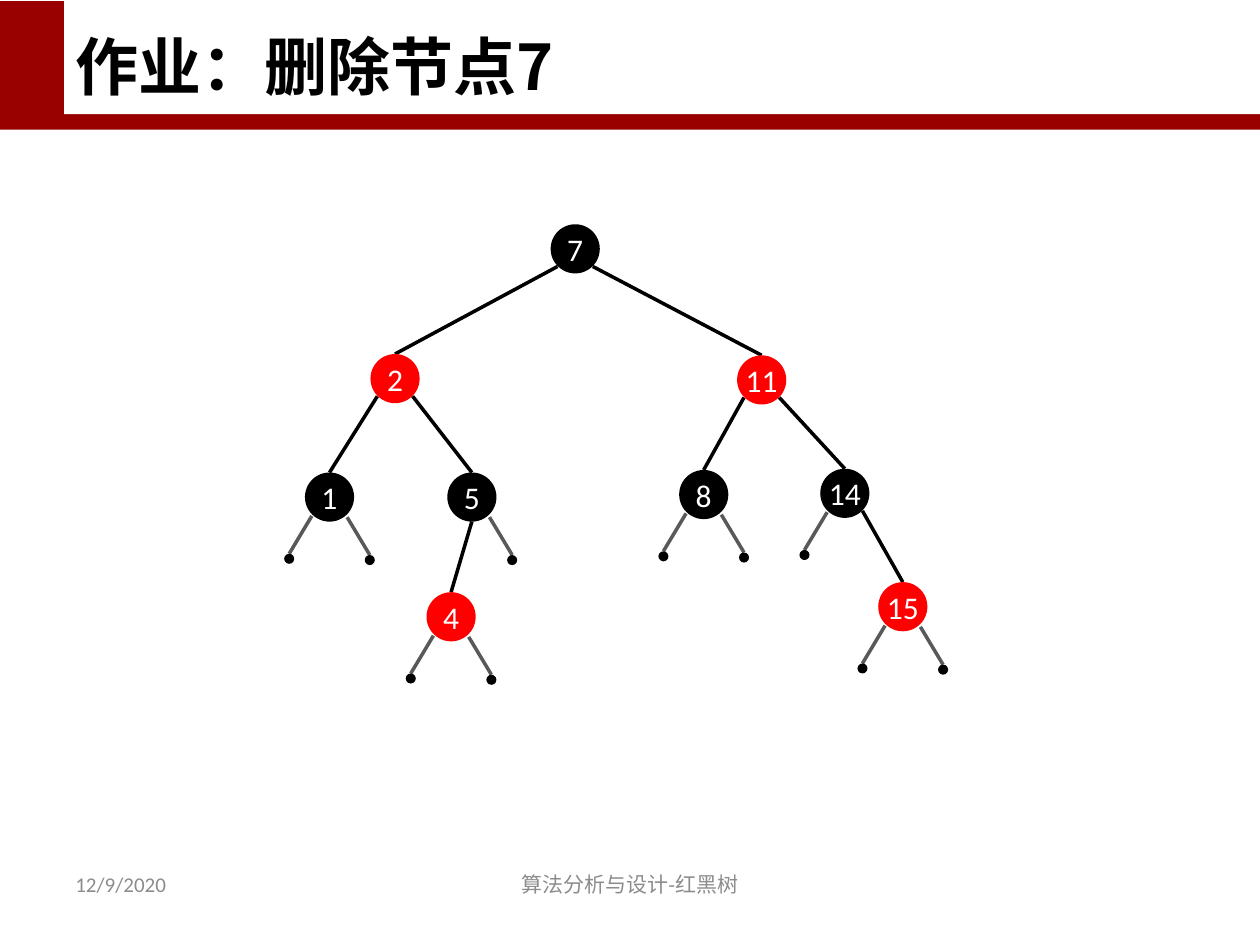
from dataclasses import dataclass

from lxml.etree import SubElement
from pptx import Presentation
from pptx.dml.color import RGBColor
from pptx.enum.shapes import MSO_CONNECTOR as Connector, MSO_SHAPE as Shape
from pptx.enum.text import MSO_ANCHOR as Anchor, MSO_AUTO_SIZE as AutoSize, PP_ALIGN as Align
from pptx.oxml.ns import qn
from pptx.util import Inches, Pt

COLORS = {
    "band": "990000", "white": "FFFFFF", "black": "000000",
    "red": "FF0000", "stub": "595959", "footer": "8C8C8C",
}
LATIN, CHINESE = "Calibri", "Noto Sans CJK SC"
CELL = 0.1
NODE, LEAF = 3.9, 0.8
SIDES = {"left": -1, "middle": 0, "right": 1}

NODES = {
    "7": (25.65, 4.75, "black"),
    "2": (11.35, 15.05, "red"),
    "11": (40.45, 15.15, "red"),
    "1": (6.15, 24.45, "black"),
    "5": (17.45, 24.45, "black"),
    "8": (35.85, 24.25, "black"),
    "14": (47.05, 24.15, "black"),
    "4": (15.8, 33.95, "red"),
    "15": (51.65, 33.15, "red"),
}
EDGES = [
    ("7", "2", "left"), ("7", "11", "right"),
    ("2", "1", "left"), ("2", "5", "right"),
    ("11", "8", "left"), ("11", "14", "right"),
    ("5", "4", "middle"), ("14", "15", "right"),
]
LEAVES = {
    "1": ["left", "right"], "4": ["left", "right"], "5": ["right"],
    "8": ["left", "right"], "14": ["left"], "15": ["left", "right"],
}


@dataclass
class Box:
    left: float
    top: float
    width: float
    height: float

    def emu(self):
        return [Inches(v) for v in (self.left, self.top, self.width, self.height)]

    def share(self, left, top, width, height):
        return Box(self.left + left * self.width, self.top + top * self.height,
                   width * self.width, height * self.height)

    def cell(self, column, row):
        return self.left + column * CELL, self.top + row * CELL


def rgb(name):
    return RGBColor.from_string(COLORS[name])


def format_text(paragraph, size, color, font=LATIN, bold=False, align=Align.LEFT):
    paragraph.alignment = align
    for run in paragraph.runs:
        run.font.name, run.font.size, run.font.bold = font, Pt(size), bold
        run.font.color.rgb = rgb(color)
        SubElement(run._r.get_or_add_rPr(), qn("a:ea")).set("typeface", CHINESE)


def add_filled(slide, kind, box, color):
    shape = slide.shapes.add_shape(kind, *box.emu())
    shape.shadow.inherit = False
    shape.fill.solid()
    shape.fill.fore_color.rgb = rgb(color)
    shape.line.fill.background()
    return shape


def add_circle(slide, center, diameter, color):
    size = diameter * CELL
    box = Box(center[0] - size / 2, center[1] - size / 2, size, size)
    return add_filled(slide, Shape.OVAL, box, color)


def add_line(slide, start, end, color):
    line = slide.shapes.add_connector(
        Connector.STRAIGHT, *[Inches(v) for v in (*start, *end)])
    line.line.width = Pt(2)
    line.line.color.rgb = rgb(color)
    SubElement(line._element.spPr, qn("a:effectLst"))


def add_header(slide, box):
    add_filled(slide, Shape.RECTANGLE, box, "band")
    add_filled(slide, Shape.RECTANGLE, box.share(0.051, -0.01, 0.949, 0.89), "white")
    title = slide.shapes.title
    title.left, title.top, title.width, title.height = box.share(0.05, 0.13, 0.9, 0.71).emu()
    frame = title.text_frame
    frame.text = "作业：删除节点7"
    frame.auto_size = AutoSize.NONE
    frame.vertical_anchor = Anchor.BOTTOM
    format_text(frame.paragraphs[0], 36, "black", CHINESE, True)
    slide.shapes._spTree.append(title._element)


def add_footer(slide, box):
    for text, left, width, align in (
        ("12/9/2020", 0.05, 0.233, Align.LEFT),
        ("算法分析与设计-红黑树", 0.311, 0.378, Align.CENTER),
    ):
        frame = slide.shapes.add_textbox(*box.share(left, 0, width, 1).emu()).text_frame
        frame.word_wrap = True
        frame.vertical_anchor = Anchor.MIDDLE
        frame.text = text
        format_text(frame.paragraphs[0], 12, "footer", align=align)


def add_node(slide, box, label):
    column, row, color = NODES[label]
    frame = add_circle(slide, box.cell(column, row), NODE, color).text_frame
    frame.margin_left = frame.margin_right = frame.margin_top = frame.margin_bottom = 0
    frame.word_wrap = False
    frame.vertical_anchor = Anchor.MIDDLE
    frame.text = label
    format_text(frame.paragraphs[0], 18, "white", align=Align.CENTER)


def add_edge(slide, box, parent, child, side):
    column, row, _ = NODES[parent]
    child_column, child_row, _ = NODES[child]
    drop = 1.4 if SIDES[side] else NODE / 2
    add_line(slide, box.cell(column + 1.4 * SIDES[side], row + drop),
             box.cell(child_column, child_row - NODE / 2), "black")


def add_leaf(slide, box, parent, side):
    column, row, _ = NODES[parent]
    sign = SIDES[side]
    row += 0.1 * (sign > 0)
    add_line(slide, box.cell(column + 1.4 * sign, row + 1.5),
             box.cell(column + 3.2 * sign, row + 4.5), "stub")
    add_circle(slide, box.cell(column + 3.2 * sign, row + 4.9), LEAF, "black")


def add_tree(slide, box):
    for edge in EDGES:
        add_edge(slide, box, *edge)
    for label in NODES:
        add_node(slide, box, label)
    for parent, sides in LEAVES.items():
        for side in sides:
            add_leaf(slide, box, parent, side)


presentation = Presentation()
presentation.slide_width, presentation.slide_height = Inches(10), Inches(7.5)
slide = presentation.slides.add_slide(presentation.slide_layouts[5])
add_header(slide, Box(0, 0.01, 10, 1.02))
add_tree(slide, Box(2, 1.5, 6, 4))
add_footer(slide, Box(0, 6.82, 10, 0.4))
presentation.save("out.pptx")
